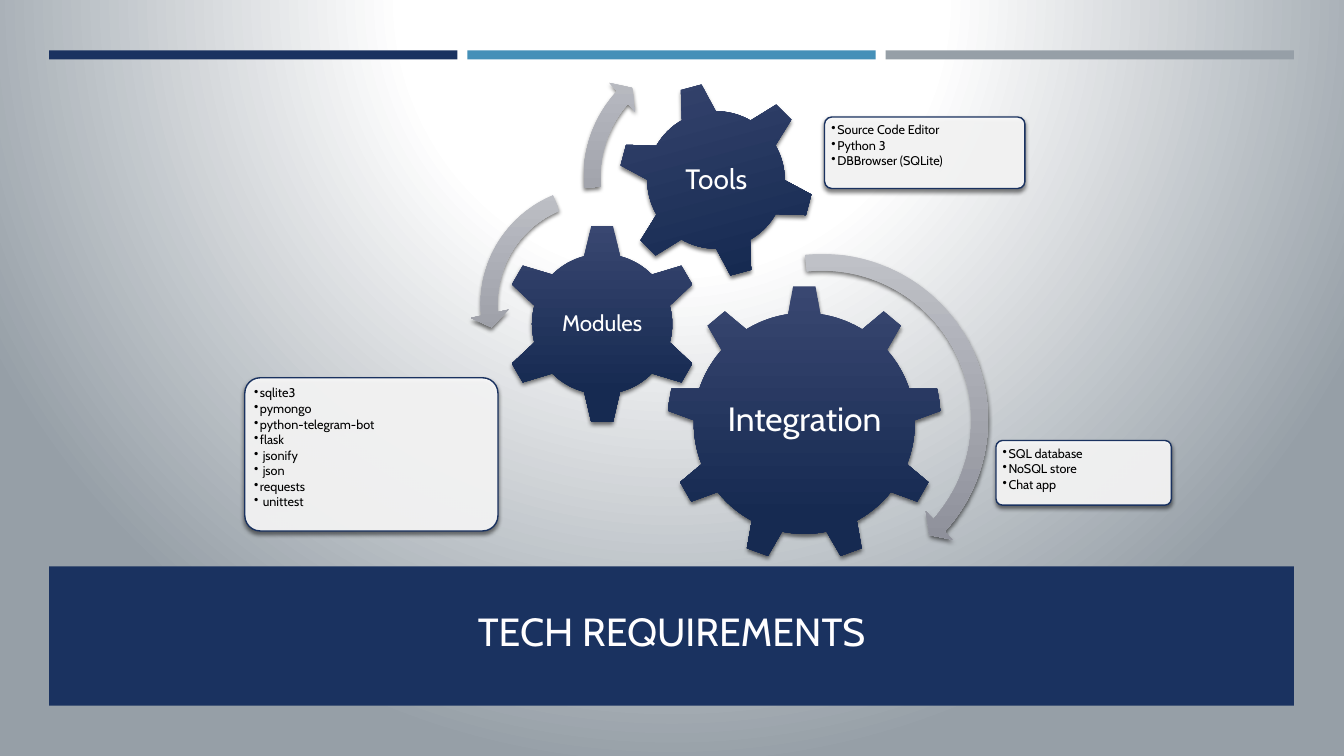
"""Build the Tech Requirements slide: three linked gears with their detail cards."""
from copy import deepcopy

from lxml import etree
from pptx import Presentation
from pptx.dml.color import RGBColor
from pptx.enum.shapes import MSO_SHAPE
from pptx.enum.text import MSO_ANCHOR, PP_ALIGN
from pptx.oxml.ns import qn
from pptx.util import Cm, Pt

RECT, CARD = MSO_SHAPE.RECTANGLE, MSO_SHAPE.ROUNDED_RECTANGLE
GEAR_6, GEAR_9 = MSO_SHAPE.GEAR_6, MSO_SHAPE.GEAR_9
CLOCKWISE, COUNTER = MSO_SHAPE.CIRCULAR_ARROW, MSO_SHAPE.LEFT_CIRCULAR_ARROW
TOP, MIDDLE, BOTTOM = MSO_ANCHOR.TOP, MSO_ANCHOR.MIDDLE, MSO_ANCHOR.BOTTOM
LEFT, CENTER = PP_ALIGN.LEFT, PP_ALIGN.CENTER

NAVY = RGBColor(0x1A, 0x32, 0x60)
BLUE = RGBColor(0x45, 0x90, 0xB8)
GREY = RGBColor(0x96, 0x9F, 0xA7)
WHITE = RGBColor(0xFF, 0xFF, 0xFF)
TITLE_WHITE = RGBColor(0xFF, 0xFE, 0xFF)
BLACK = RGBColor(0, 0, 0)
GEAR_COLOURS = RGBColor(0x39, 0x47, 0x71), RGBColor(0x16, 0x2A, 0x51)
ARROW_COLOURS = RGBColor(0xC1, 0xC3, 0xC9), RGBColor(0x8F, 0x91, 0x9B)
FONT = "Cabin"

TITLE = "TECH REQUIREMENTS"
TITLE_BAND = (1.24, 14.27, 31.37, 3.51)
BAR_COLOURS = [NAVY, BLUE, GREY]
BAR_LEFT, BAR_TOP, BAR_WIDTH, BAR_HEIGHT, BAR_STEP = 1.24, 1.27, 10.29, 0.23, 10.54

GEARS = [
    dict(label="Integration", size=24, outline=GEAR_9, turn=0, inset=0.08,
         box=(16.79, 7.19, 6.96, 6.96), label_box=(18.19, 8.81, 4.17, 3.58),
         card=(25.1, 11.1, 4.42, 1.63),
         details=["SQL database", "NoSQL store", "Chat app"]),
    dict(label="Modules", size=16, outline=GEAR_6, turn=0, inset=0.05,
         box=(12.65, 5.64, 5.05, 5.05), label_box=(13.92, 6.93, 2.51, 2.49),
         card=(6.17, 9.52, 6.38, 3.86),
         details=["sqlite3", "pymongo", "python-telegram-bot", "flask",
                  " jsonify", " json", "requests", " unittest"]),
    dict(label="Tools", size=20, outline=GEAR_6, turn=345, inset=0.08,
         box=(15.57, 2.06, 4.95, 4.95), label_box=(16.66, 3.15, 2.79, 2.79),
         card=(20.78, 2.95, 5.05, 1.8),
         details=["Source Code Editor", "Python 3", "DBBrowser (SQLite)"]),
]
ARROWS = [
    (CLOCKWISE, (16.26, 6.12, 8.92, 8.92), (0.047, 2.99, 25.242, 158.44, 0.055)),
    (COUNTER, (11.84, 4.42, 6.48, 6.48), (0.065, 4.3, 104.891, 148.378, 0.075)),
    (CLOCKWISE, (14.43, 0.97, 6.99, 6.99), (0.06, 3.941, 133.138, 105.082, 0.07)),
]


def lengths(box):
    return [Cm(value) for value in box]


def add_block(slide, outline, box, colour=None):
    block = slide.shapes.add_shape(outline, *lengths(box))
    block.shadow.inherit = False
    block.line.fill.background()
    if colour is not None:
        block.fill.solid()
        block.fill.fore_color.rgb = colour
    return block


def add_shadow(block):
    effects = block.element.spPr.find(qn("a:effectLst"))
    shadow = etree.SubElement(effects, qn("a:outerShdw"), blurRad=str(Pt(3)),
                              dist=str(Pt(2)), dir="5400000", rotWithShape="0")
    black = etree.SubElement(shadow, qn("a:srgbClr"), val="000000")
    etree.SubElement(black, qn("a:alpha"), val="55000")


def shade(block, colours):
    block.fill.gradient()
    block.fill.gradient_angle = 270
    for stop, colour, position in zip(block.fill.gradient_stops, colours, (0, 0.84)):
        stop.color.rgb = colour
        stop.position = position
    add_shadow(block)


def write(frame, lines, size, colour, align, anchor, inset, spacing=0.9, after=0, bullet=False):
    frame.word_wrap = True
    frame.vertical_anchor = anchor
    frame.margin_left = frame.margin_right = Cm(inset)
    frame.margin_top = frame.margin_bottom = Cm(inset)
    for index, line in enumerate(lines):
        paragraph = frame.add_paragraph() if index else frame.paragraphs[0]
        paragraph.text = line
        if bullet:
            properties = paragraph._p.get_or_add_pPr()
            properties.set("marL", str(Cm(0.15)))
            properties.set("indent", str(-Cm(0.15)))
            etree.SubElement(properties, qn("a:buChar"), char="•")
        paragraph.alignment = align
        paragraph.line_spacing = spacing
        paragraph.space_after = Pt(after * size)
        paragraph.font.name = FONT
        paragraph.font.size = Pt(size)
        paragraph.font.color.rgb = colour


def paint_background(slide):
    fill = slide.background.fill
    fill.gradient()
    gradient = next(slide.element.iter(qn("a:gradFill")))
    stops = gradient.find(qn("a:gsLst"))
    stops.append(deepcopy(stops[-1]))
    for stop, colour, position in zip(fill.gradient_stops, (WHITE, WHITE, GREY), (0, 0.35, 1)):
        stop.color.rgb = colour
        stop.position = position
    gradient.remove(gradient.find(qn("a:lin")))
    circle = etree.Element(qn("a:path"), path="circle")
    etree.SubElement(circle, qn("a:fillToRect"), l="50000", t="-80000", r="50000", b="180000")
    stops.addnext(circle)


def add_gear(slide, gear):
    wheel = add_block(slide, gear["outline"], gear["box"])
    wheel.rotation = gear["turn"]
    shade(wheel, GEAR_COLOURS)
    label = slide.shapes.add_textbox(*lengths(gear["label_box"]))
    write(label.text_frame, [gear["label"]], gear["size"], WHITE, CENTER, MIDDLE,
          gear["inset"], after=0.35)

    card = add_block(slide, CARD, gear["card"], WHITE)
    card.adjustments[0] = 0.1
    white = card.element.spPr.find(qn("a:solidFill"))[0]
    etree.SubElement(white, qn("a:alpha"), val="90000")
    card.line.color.rgb = NAVY
    card.line.width = Pt(1)
    add_shadow(card)
    write(card.text_frame, gear["details"], 9, BLACK, LEFT, TOP, 0.12, after=0.15, bullet=True)


def main():
    deck = Presentation()
    deck.slide_width, deck.slide_height = Cm(33.87), Cm(19.05)
    slide = deck.slides.add_slide(deck.slide_layouts[6])
    paint_background(slide)
    for index, colour in enumerate(BAR_COLOURS):
        bar = (BAR_LEFT + index * BAR_STEP, BAR_TOP, BAR_WIDTH, BAR_HEIGHT)
        add_block(slide, RECT, bar, colour)
    band = add_block(slide, RECT, TITLE_BAND, NAVY)
    write(band.text_frame, [TITLE], 28, TITLE_WHITE, CENTER, BOTTOM, 0.13, spacing=1)
    band.text_frame.margin_bottom = Cm(1.3)
    for gear in GEARS:
        add_gear(slide, gear)
    for outline, box, bends in ARROWS:
        arrow = add_block(slide, outline, box)
        for index, bend in enumerate(bends):
            arrow.adjustments[index] = bend
        shade(arrow, ARROW_COLOURS)
    deck.save("out.pptx")


if __name__ == "__main__":
    main()
